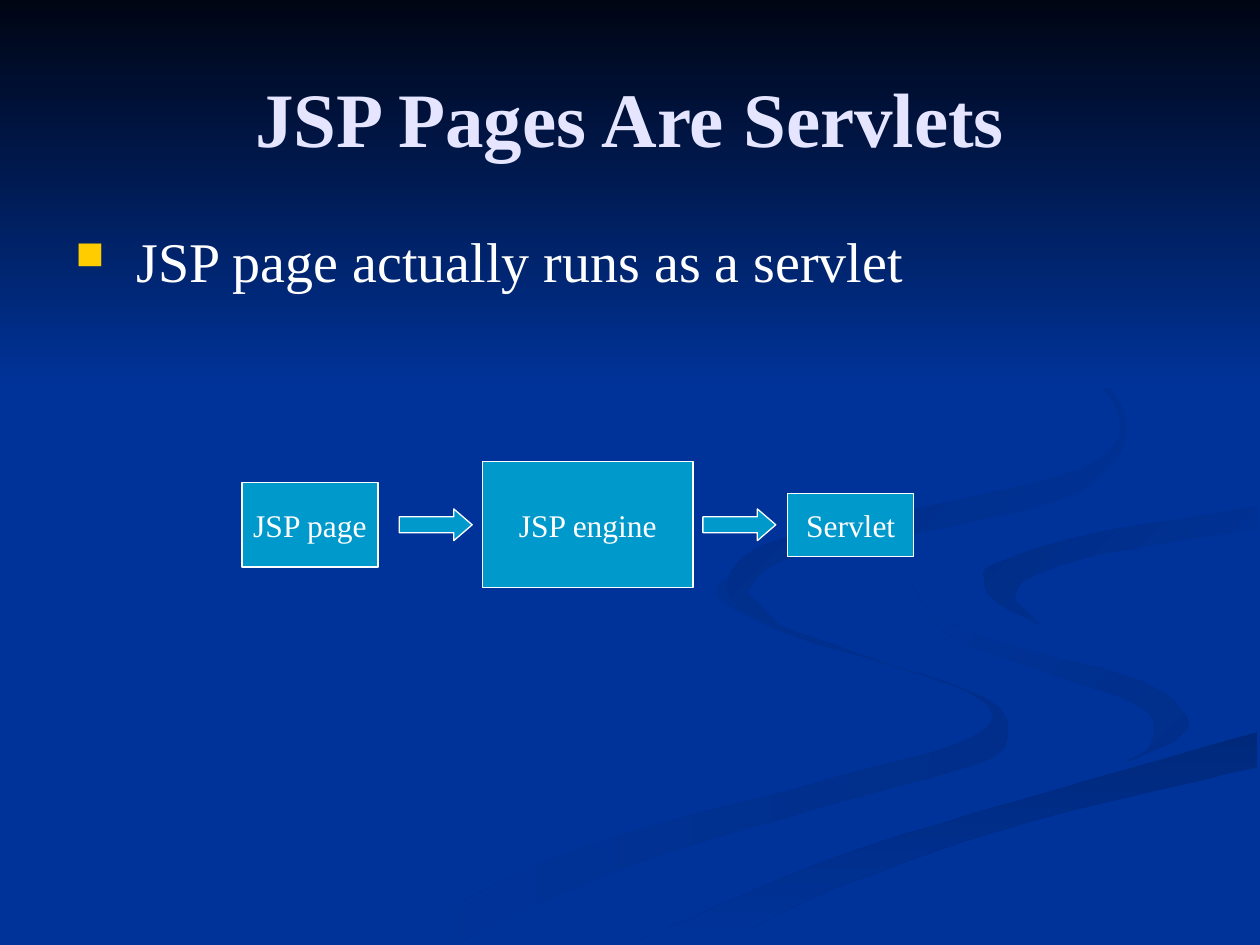
"""Build the slide "JSP Pages Are Servlets", with its ribbon background and flow diagram."""
from lxml import etree
from pptx import Presentation
from pptx import util as u
from pptx.dml.color import RGBColor
from pptx.enum import shapes, text
from pptx.oxml.ns import qn

FONT = "Times New Roman"
NAVY, WHITE, CYAN = "003399", "FFFFFF", "0099CC"


def colour(value):
    return RGBColor.from_string(value)


def smooth(edge, steps=6):
    padded = [edge[0], *edge, edge[-1]]
    curve = [edge[0]]
    for a, b, c, d in zip(padded, padded[1:], padded[2:], padded[3:]):
        for t in (step / steps for step in range(1, steps + 1)):
            curve.append(tuple(
                q + (r - p) * t / 2 + (2 * p - 5 * q + 4 * r - s) * t**2 / 2
                + (3 * q - p - 3 * r + s) * t**3 / 2
                for p, q, r, s in zip(a, b, c, d)))
    return curve


deck = Presentation()
deck.slide_width, deck.slide_height = u.Cm(25.4), u.Cm(19.05)
slide = deck.slides.add_slide(deck.slide_layouts[5])
slide.background.fill.solid()
slide.background.fill.fore_color.rgb = colour(NAVY)

ribbons = [
    ("002E8A", NAVY, 180,
     [(575, 459), (572, 476), (631, 505), (741, 539), (785, 562), (767, 587),
      (652, 620), (458, 674), (300, 749)],
     [(361, 749), (499, 687), (676, 634), (780, 605), (800, 581), (781, 553),
      (682, 519), (594, 485), (575, 459)]),
    ("002E8A", NAVY, 135,
     [(724, 464), (755, 505), (838, 536), (907, 562), (914, 589), (894, 605)],
     [(932, 589), (943, 570), (905, 540), (811, 515), (745, 490), (724, 464)]),
    ("00297C", NAVY, 270,
     [(571, 749), (670, 702), (821, 651), (998, 609)],
     [(998, 581), (831, 629), (662, 681), (503, 749)]),
    (NAVY, "002C85", 135,
     [(998, 402), (865, 424), (791, 447), (781, 460), (791, 478), (826, 496)],
     [(805, 476), (816, 459), (878, 439), (998, 420)]),
    (NAVY, "002B81", 135,
     [(762, 233), (846, 279), (889, 335), (852, 374), (704, 409), (605, 433),
      (577, 462), (590, 484), (622, 500)],
     [(593, 470), (624, 444), (739, 421), (855, 391), (894, 344), (864, 291),
      (762, 233)]),
]
backdrops = []
for start, end, angle, outer, inner in ribbons:
    outline = smooth(outer) + smooth(inner)
    builder = slide.shapes.build_freeform(*outline[0], scale=u.Cm(2.54) / 100)
    builder.add_line_segments(outline[1:], close=True)
    backdrops.append((builder.convert_to_shape(), start, end, angle))

sky = slide.shapes.add_shape(
    shapes.MSO_SHAPE.RECTANGLE, 0, 0, deck.slide_width, u.Cm(7.82))
backdrops.append((sky, "000514", NAVY, 270))
for backdrop, start, end, angle in backdrops:
    backdrop.shadow.inherit = False
    backdrop.line.fill.background()
    backdrop.fill.gradient()
    backdrop.fill.gradient_angle = angle
    for stop, value in zip(backdrop.fill.gradient_stops, (start, end)):
        stop.color.rgb = colour(value)

title = slide.shapes.title
title.element.getparent().append(title.element)
title.left, title.top, title.width, title.height = map(u.Cm, (1.27, 0.76, 22.86, 3.18))
title.text_frame.text = "JSP Pages Are Servlets"
title.text_frame.vertical_anchor = text.MSO_ANCHOR.MIDDLE
heading = title.text_frame.paragraphs[0]
heading.alignment = text.PP_ALIGN.CENTER
for name, value in {"name": FONT, "size": u.Pt(44), "bold": True}.items():
    setattr(heading.font, name, value)
heading.font.color.rgb = colour("E5E5FF")

body = slide.shapes.add_textbox(*map(u.Cm, (1.27, 4.45, 22.86, 12.57)))
body.text_frame.word_wrap = True
statement = body.text_frame.paragraphs[0]
statement.text = "JSP page actually runs as a servlet"
properties = statement._p.get_or_add_pPr()
properties.set("marL", str(u.Cm(1.24)))
properties.set("indent", str(u.Cm(-1.24)))
bullet_colour = etree.SubElement(properties, qn("a:buClr"))
etree.SubElement(bullet_colour, qn("a:srgbClr"), val="FFCC00")
etree.SubElement(properties, qn("a:buSzPct"), val="70000")
etree.SubElement(properties, qn("a:buChar"), char="■")
for name, value in {"name": FONT, "size": u.Pt(32)}.items():
    setattr(statement.font, name, value)
statement.font.color.rgb = colour(WHITE)

middle = 10.58
flow = [
    ("JSP page", 4.88, 2.74, 1.7),
    ("", 8.05, 1.47, 0.64),
    ("JSP engine", 9.73, 4.24, 2.54),
    ("", 14.17, 1.47, 0.64),
    ("Servlet", 15.88, 2.54, 1.27),
]
for label, left, width, height in flow:
    kind = shapes.MSO_SHAPE.RECTANGLE if label else shapes.MSO_SHAPE.RIGHT_ARROW
    stage = slide.shapes.add_shape(
        kind, *map(u.Cm, (left, middle - height / 2, width, height)))
    stage.shadow.inherit = False
    stage.fill.solid()
    stage.fill.fore_color.rgb = colour(CYAN)
    stage.line.color.rgb = colour(WHITE)
    stage.line.width = u.Pt(0.75)
    if not label:
        stage.adjustments[1] = 0.58
        continue
    stage.text_frame.text = label
    stage.text_frame.word_wrap = False
    stage.text_frame.vertical_anchor = text.MSO_ANCHOR.MIDDLE
    caption = stage.text_frame.paragraphs[0]
    caption.alignment = text.PP_ALIGN.CENTER
    for name, value in {"name": FONT, "size": u.Pt(18)}.items():
        setattr(caption.font, name, value)
    caption.font.color.rgb = colour(WHITE)

deck.save("out.pptx")
